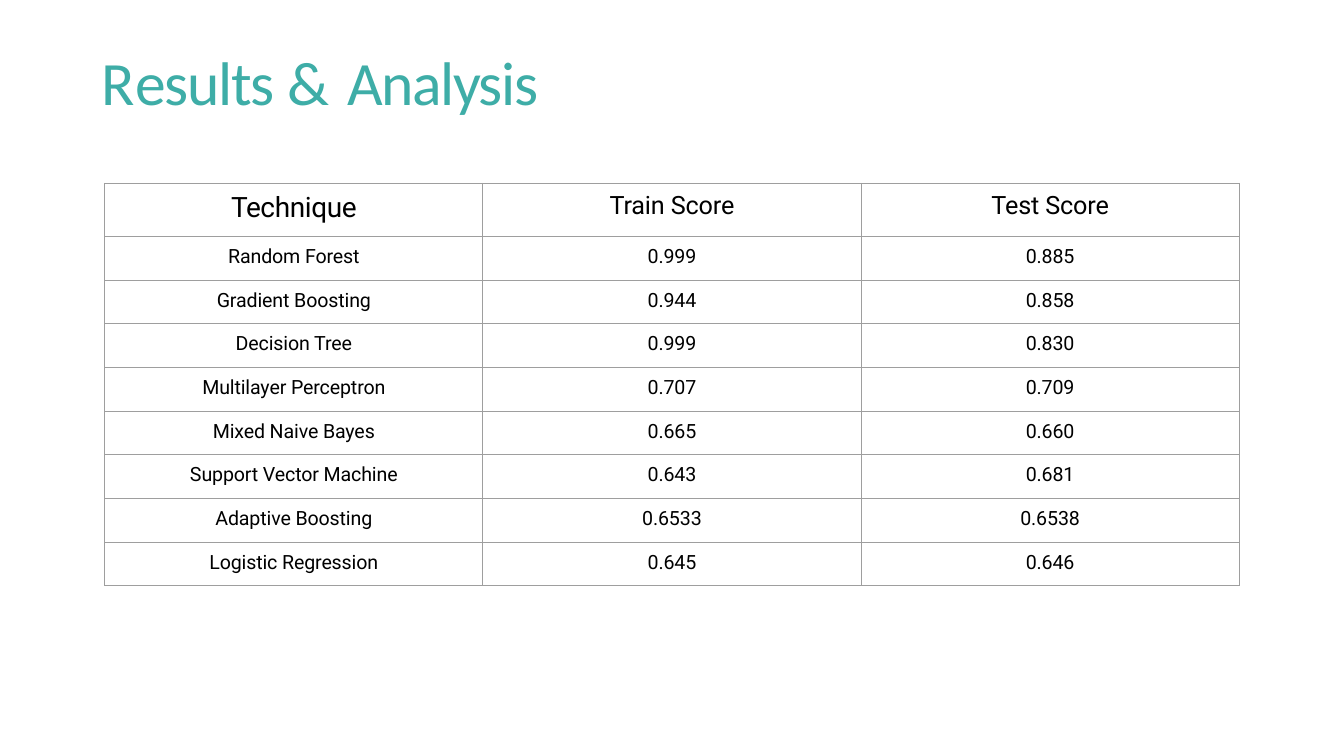
from lxml import etree
from pptx import Presentation
from pptx.dml.color import RGBColor
from pptx.enum import text
from pptx.oxml import ns
from pptx import util as u

HUES = {"title": "3EADA7", "ink": "000000", "grid": "9E9E9E", "page": "FFFFFF"}
HEADS = [("Technique", 20, -0.3), ("Train Score", 18, -0.1), ("Test Score", 18, -0.1)]
SCORES = [
    ("Random Forest", "0.999", "0.885"),
    ("Gradient Boosting", "0.944", "0.858"),
    ("Decision Tree", "0.999", "0.830"),
    ("Multilayer Perceptron", "0.707", "0.709"),
    ("Mixed Naive Bayes", "0.665", "0.660"),
    ("Support Vector Machine", "0.643", "0.681"),
    ("Adaptive Boosting", "0.6533", "0.6538"),
    ("Logistic Regression", "0.645", "0.646"),
]


def apply(item, **vals):
    for name, val in vals.items():
        setattr(item, name, val)


class Deck:
    def __init__(self, wide, high):
        self.prs = Presentation()
        apply(self.prs, slide_width=u.Cm(wide), slide_height=u.Cm(high))
        self.slide = self.prs.slides.add_slide(self.prs.slide_layouts[6])
        fill = self.slide.background.fill
        fill.solid()
        fill.fore_color.rgb = RGBColor.from_string(HUES["page"])

    def run(self, par, words, size, face, hue, gap):
        run = par.add_run()
        run.text = words
        apply(run.font, size=u.Pt(size), name=face, bold=False)
        run.font.color.rgb = RGBColor.from_string(HUES[hue])
        run._r.get_or_add_rPr().set("spc", str(round(gap * 100)))

    def title(self, box, parts):
        frame = self.slide.shapes.add_textbox(*map(u.Cm, box)).text_frame
        apply(frame, word_wrap=True, margin_left=0, margin_right=0,
              margin_top=u.Cm(0.03), margin_bottom=0,
              vertical_anchor=text.MSO_ANCHOR.MIDDLE,
              auto_size=text.MSO_AUTO_SIZE.SHAPE_TO_FIT_TEXT)
        par = frame.paragraphs[0]
        par.space_before = u.Pt(1)
        par._p.get_or_add_pPr().set("marL", str(u.Cm(0.03)))
        for words, gap in parts:
            self.run(par, words, 44, "Calibri", "title", gap)

    def edge(self, cell):
        props = cell._tc.get_or_add_tcPr()
        for side in "LRTB":
            line = etree.SubElement(props, ns.qn(f"a:ln{side}"), w=str(u.Pt(0.75)))
            fill = etree.SubElement(line, ns.qn("a:solidFill"))
            etree.SubElement(fill, ns.qn("a:srgbClr"), val=HUES["grid"])

    def cell(self, cell, words, size, gap, inset, lead):
        apply(cell, margin_left=0, margin_right=0, margin_top=u.Cm(inset),
              margin_bottom=0, vertical_anchor=text.MSO_ANCHOR.TOP)
        self.edge(cell)
        cell.fill.background()
        par = cell.text_frame.paragraphs[0]
        apply(par, alignment=text.PP_ALIGN.CENTER, space_before=u.Pt(lead))
        self.run(par, words, size, "Roboto", "ink", gap)

    def table(self, left, top, wide, high, heads, rows):
        tall = [high[0]] + [high[1]] * len(rows)
        grid = self.slide.shapes.add_table(
            len(tall), len(heads), u.Cm(left), u.Cm(top),
            u.Cm(wide * len(heads)), u.Cm(sum(tall))).table
        apply(grid, first_row=False, horz_banding=False)
        for col in grid.columns:
            col.width = u.Cm(wide)
        for row, size in zip(grid.rows, tall):
            row.height = u.Cm(size)
        for c, (words, size, gap) in enumerate(heads):
            self.cell(grid.cell(0, c), words, size, gap, 0.2, 6)
        for r, row in enumerate(rows, 1):
            for c, words in enumerate(row):
                self.cell(grid.cell(r, c), words, 14, -0.1, 0.22, 6.2)


def main():
    deck = Deck(33.87, 19.05)
    # Heading
    deck.title((2.54, 1.07, 12.14, 1.93),
               [("R", -6.3), ("esults ", -0.9), ("& ", 1.4), ("Analysis", -1.1)])
    # Scores of each technique
    deck.table(2.64, 4.62, 9.53, (1.34, 1.1), HEADS, SCORES)
    deck.prs.save("out.pptx")


if __name__ == "__main__":
    main()
